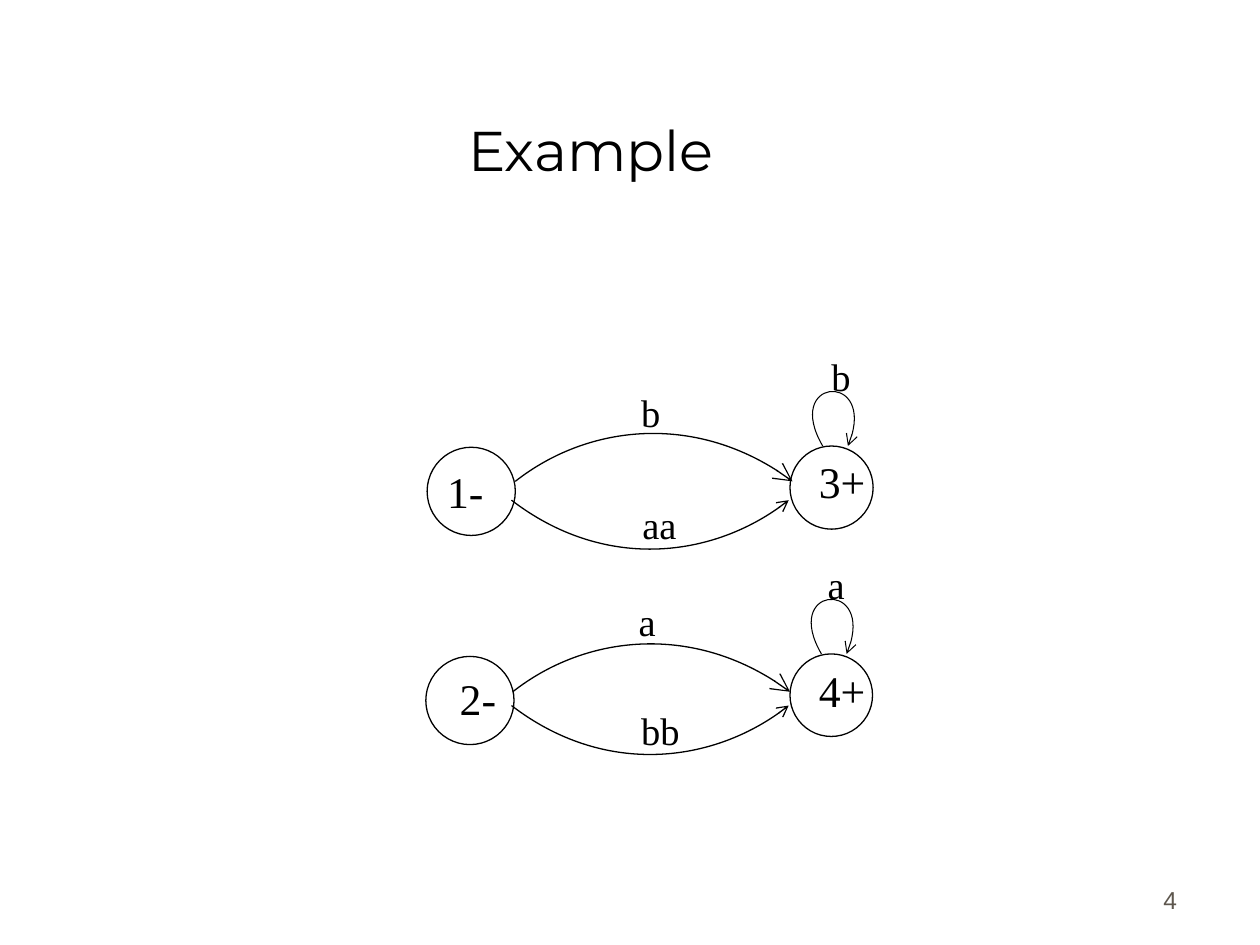
from lxml import etree
from pptx import Presentation
from pptx import util as u
from pptx.dml.color import RGBColor
from pptx.enum import shapes, text
from pptx.oxml import ns

COLORS = {"ink": "000000", "paper": "FFFFFF", "number": "5E574E"}
COLUMNS, ROWS = 100, 75
TITLE_ONLY = 5


class Diagram:
    def __init__(self, presentation):
        self.slide = presentation.slides.add_slide(presentation.slide_layouts[TITLE_ONLY])
        self.column = presentation.slide_width / COLUMNS
        self.row = presentation.slide_height / ROWS

    def place(self, column, row):
        return round(column * self.column), round(row * self.row)

    def box(self, left, top, width, height):
        return (*self.place(left, top), *self.place(width, height))

    def fill_text(self, shape, words, size, font, color="ink", align=text.PP_ALIGN.LEFT,
                  anchor=text.MSO_ANCHOR.TOP):
        frame = shape.text_frame
        frame.text = words
        frame.word_wrap = True
        frame.auto_size = text.MSO_AUTO_SIZE.NONE
        frame.vertical_anchor = anchor
        paragraph = frame.paragraphs[0]
        paragraph.alignment = align
        for run in paragraph.runs:
            run.font.size = u.Pt(size)
            run.font.name = font
            run.font.color.rgb = RGBColor.from_string(COLORS[color])
        return paragraph

    def title(self, words, *area):
        shape = self.slide.shapes.title
        shape.left, shape.top, shape.width, shape.height = self.box(*area)
        self.fill_text(shape, words, 32, "Montserrat", align=text.PP_ALIGN.CENTER,
                       anchor=text.MSO_ANCHOR.BOTTOM)

    def label(self, words, *area, size=22):
        shape = self.slide.shapes.add_textbox(*self.box(*area))
        self.fill_text(shape, words, size, "Times New Roman")

    def number(self, words, *area):
        shape = self.slide.shapes.add_textbox(*self.box(*area))
        paragraph = self.fill_text(shape, words, 14, "Arial", "number",
                                   text.PP_ALIGN.RIGHT, text.MSO_ANCHOR.BOTTOM)
        paragraph.space_before = u.Pt(8.8)

    def outline(self, shape, weight):
        shape.shadow.inherit = False
        shape.line.color.rgb = RGBColor.from_string(COLORS["ink"])
        shape.line.width = u.Pt(weight)

    def state(self, left, top, size):
        shape = self.slide.shapes.add_shape(
            shapes.MSO_SHAPE.OVAL, *self.box(left, top, size, size))
        shape.fill.solid()
        shape.fill.fore_color.rgb = RGBColor.from_string(COLORS["paper"])
        self.outline(shape, 0.75)

    def curve(self, points, weight=0.75, head="med"):
        start, *others = [self.place(*point) for point in points]
        builder = self.slide.shapes.build_freeform(*start)
        builder.add_line_segments(others, close=False)
        shape = builder.convert_to_shape()
        shape.fill.background()
        self.outline(shape, weight)
        segments = list(shape.element.iter(ns.qn("a:lnTo")))
        route = segments[0].getparent()
        bezier = etree.SubElement(route, ns.qn("a:cubicBezTo"))
        for segment in segments:
            bezier.append(segment[0])
            route.remove(segment)
        line = next(shape.element.iter(ns.qn("a:ln")))
        etree.SubElement(line, ns.qn("a:tailEnd"), type="arrow", w=head, len=head)


def main():
    presentation = Presentation()
    presentation.slide_width, presentation.slide_height = u.Inches(10), u.Inches(7.5)
    diagram = Diagram(presentation)
    diagram.title("Example", 4.4, 2.5, 85, 12.5)

    for left, top, size in ((33.9, 35.5, 7), (62.7, 35.4, 6.6),
                            (33.8, 52.1, 7), (62.7, 51.9, 6.55)):
        diagram.state(left, top, size)

    for left, top in ((40.9, 38.2), (40.7, 54.9)):
        diagram.curve([(left, top), (left + 5.6, top - 4.4),
                       (left + 14.7, top - 5.5), (left + 22, top)], head="lg")
    for top in (39.7, 56):
        diagram.curve([(40.6, top), (47.9, top + 5.6), (57, top + 4.5), (62.6, top)])
    for left, top in ((65.3, 35.4), (65.2, 51.9)):
        diagram.curve([(left, top), (left - 3.1, top - 5.3),
                       (left + 4.5, top - 6), (left + 2, top)], weight=0.6)

    for words, left, top in (("1-", 34.5, 36.4), ("2-", 35.5, 52.8),
                             ("3+", 64, 35.6), ("4+", 64, 52.2)):
        diagram.label(words, left, top, 10.2, 4.2, size=25)
    for words, left, top, width, height in (
            ("b", 49.9, 30.4, 4.1, 4), ("aa", 50, 39.3, 4.9, 5), ("b", 65, 27.5, 4.1, 4),
            ("a", 49.7, 47, 4.1, 4), ("bb", 49.9, 55.6, 5.9, 5), ("a", 64.7, 44, 4.1, 4)):
        diagram.label(words, left, top, width, height)

    diagram.number("4", 73.6, 68.1, 20.8, 5)
    presentation.save("out.pptx")


if __name__ == "__main__":
    main()
